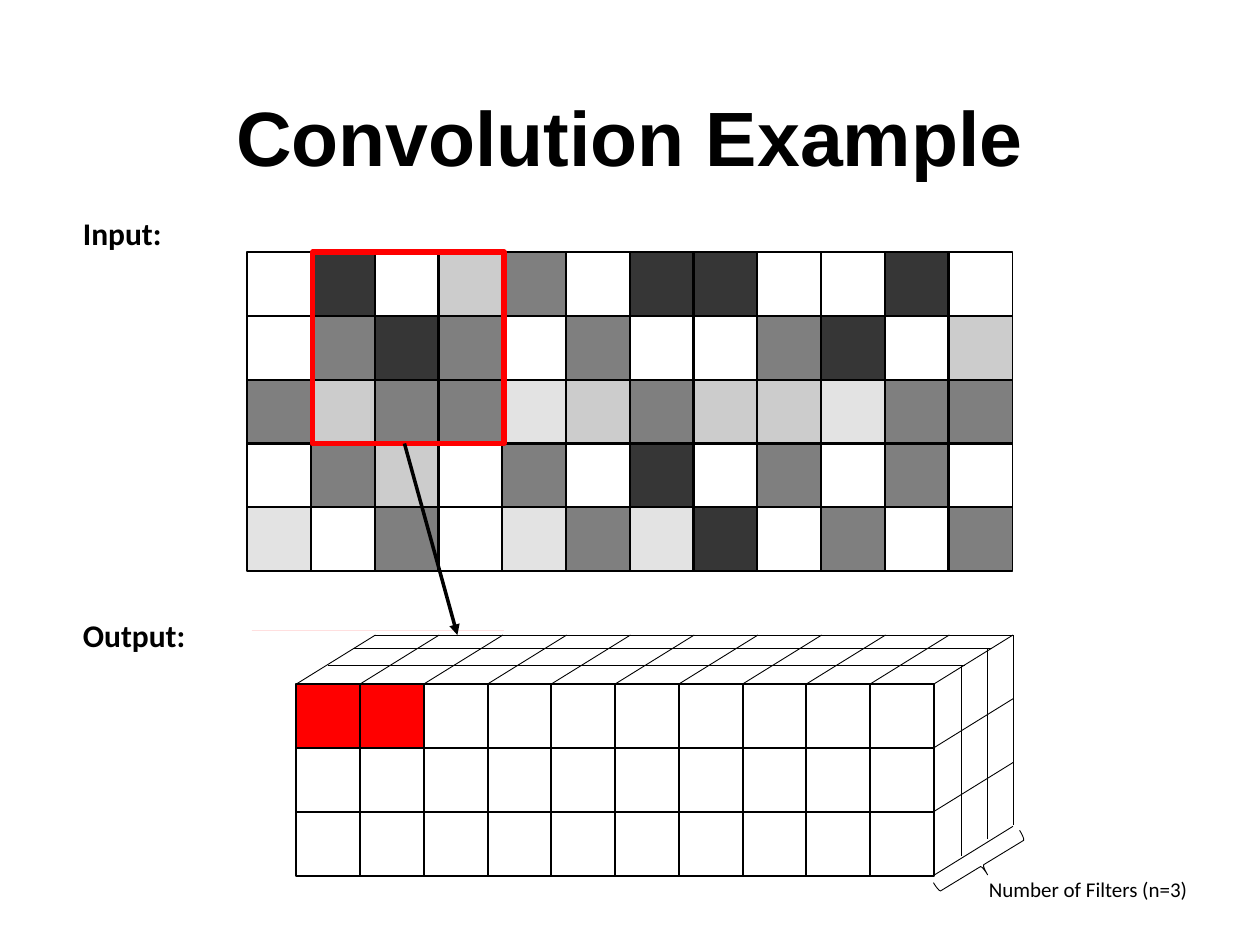
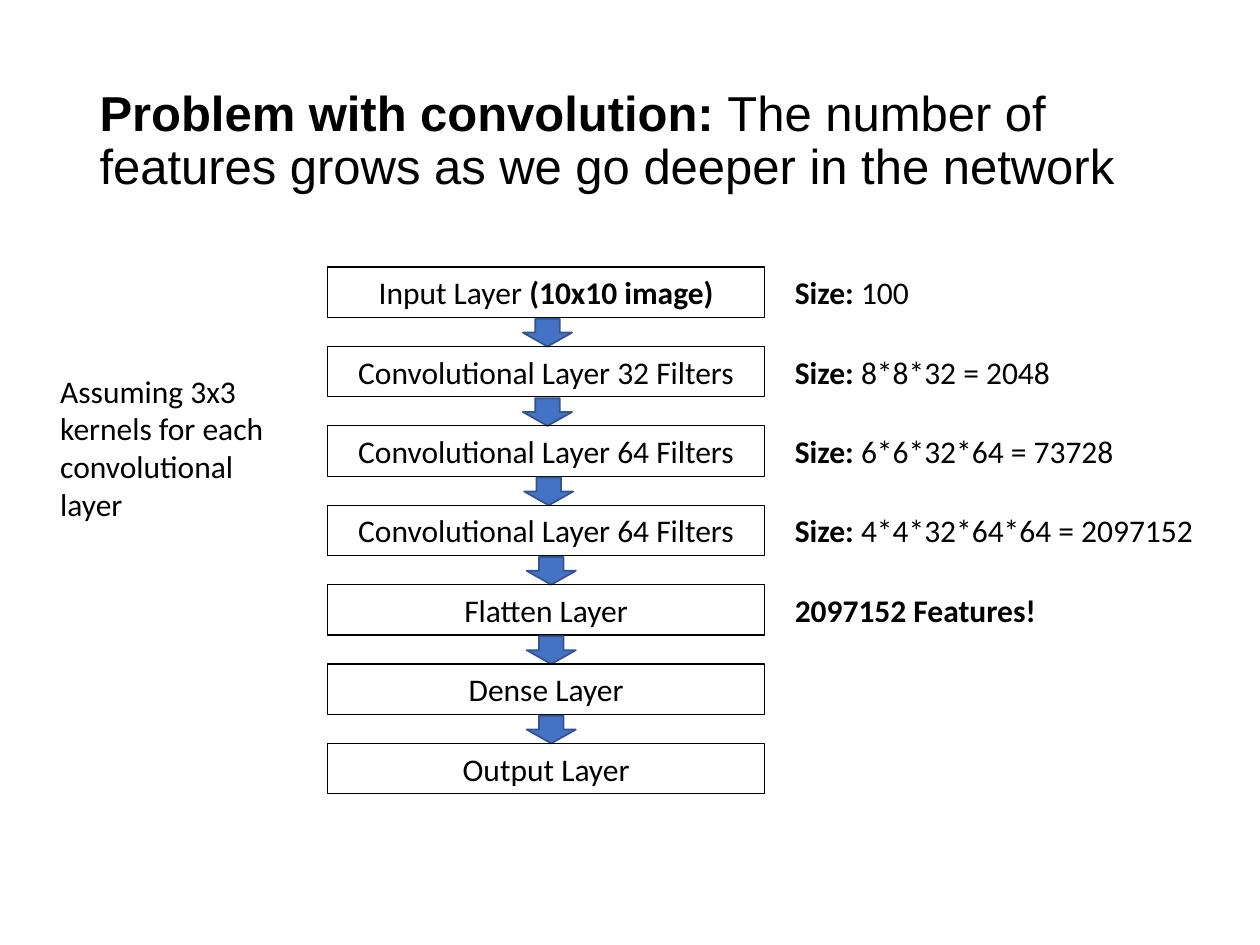
from typing import NamedTuple

from lxml.etree import SubElement
from pptx import Presentation
from pptx.dml.color import RGBColor
from pptx.enum.shapes import MSO_CONNECTOR, MSO_SHAPE
from pptx.enum.text import MSO_ANCHOR, MSO_AUTO_SIZE, PP_ALIGN
from pptx.oxml.ns import qn
from pptx.util import Inches, Pt

# Shared style
BLACK, RED, BLUE, DARK_BLUE = "000000", "FF0000", "4472C4", "325491"
TITLE_FONT, BODY_FONT = "Arial", "Calibri"


class Run(NamedTuple):
    text: str
    bold: bool = False


class Box(NamedTuple):
    left: float
    top: float
    width: float
    height: float


class Layer(NamedTuple):
    name: list[Run]
    size: list[Run]
    arrow_left: float | None = None  # arrow to the next layer


class DepthStep(NamedTuple):
    top_dx: float   # shift of the edge on the top face
    side_dx: float  # shift of the edge on the right face
    rise: float


def rgb(color: str) -> RGBColor:
    return RGBColor.from_string(color)


def write(tf, runs: list[Run], size: float, font: str = BODY_FONT, align=PP_ALIGN.LEFT):
    """Write one paragraph of runs that share font, size and colour."""
    tf.word_wrap = True
    p = tf.paragraphs[0]
    p.alignment = align
    p.font.size, p.font.name = Pt(size), font
    p.font.color.rgb = rgb(BLACK)
    for run in runs:
        r = p.add_run()
        r.text, r.font.bold = run.text, run.bold
    return p


def add_title_slide(prs, runs: list[Run], size: float, align=PP_ALIGN.LEFT):
    slide = prs.slides.add_slide(prs.slide_layouts[5])
    title = slide.shapes.title
    title.left, title.top, title.width, title.height = map(Inches, (0.69, 0.4, 8.62, 1.45))
    title.text_frame.vertical_anchor = MSO_ANCHOR.MIDDLE
    write(title.text_frame, runs, size, TITLE_FONT, align).line_spacing = 0.9
    return slide


def add_text(slide, box: Box, runs: list[Run], size: float = 18) -> None:
    tf = slide.shapes.add_textbox(*map(Inches, box)).text_frame
    write(tf, runs, size)
    tf.auto_size = MSO_AUTO_SIZE.SHAPE_TO_FIT_TEXT


def paint(s, fill: str | None = None, alpha: int = 100,
          line: str | None = BLACK, width: float = 1) -> None:
    s.shadow.inherit = False
    if fill:
        s.fill.solid()
        s.fill.fore_color.rgb = rgb(fill)
        if alpha < 100:
            color = s.fill._xPr.find(qn("a:solidFill")).find(qn("a:srgbClr"))
            SubElement(color, qn("a:alpha"), val=str(alpha * 1000))
    else:
        s.fill.background()
    if line:
        s.line.color.rgb = rgb(line)
        s.line.width = Pt(width)
    else:
        s.line.fill.background()


def add_shape(slide, kind, box: Box, **style):
    s = slide.shapes.add_shape(kind, *map(Inches, box))
    paint(s, **style)
    return s


def add_line(slide, x1: float, y1: float, x2: float, y2: float,
             width: float = 0.5, arrow: bool = False) -> None:
    c = slide.shapes.add_connector(MSO_CONNECTOR.STRAIGHT, *map(Inches, (x1, y1, x2, y2)))
    c.line.color.rgb = rgb(BLACK)
    c.line.width = Pt(width)
    if arrow:
        SubElement(c.line._get_or_add_ln(), qn("a:tailEnd"), type="triangle")
    SubElement(c._element.spPr, qn("a:effectLst"))


def add_polygon(slide, points: list[tuple[float, float]], fill: str) -> None:
    builder = slide.shapes.build_freeform(*points[0], scale=Inches(1))
    builder.add_line_segments(points[1:], close=True)
    paint(builder.convert_to_shape(), fill=fill, line=None)


prs = Presentation()
prs.slide_width, prs.slide_height = Inches(10), Inches(7.5)

# Slide 1: convolution example
slide = add_title_slide(prs, [Run("Convolution Example", True)], 44, PP_ALIGN.CENTER)

CELL, PITCH = 0.51, 0.506
GRID_LEFT, GRID_TOP = 1.96, 2.0
FRONT_LEFT, FRONT_TOP, FRONT_COLS, FRONT_ROWS = 2.35, 5.43, 10, 3
FRONT_RIGHT, FRONT_BOTTOM = 7.41, 6.94
DEPTH_X, DEPTH_Y = 0.63, 0.39
DEPTH_STEPS = [DepthStep(0.25, 0.22, 0.15), DepthStep(0.46, 0.43, 0.28),
               DepthStep(DEPTH_X, DEPTH_X, DEPTH_Y)]
RED_COLS = 2

# Input image: each letter is an opacity of black, a dot is an empty cell
SHADES = {"a": 11, "b": 20, "c": 50, "d": 79}
IMAGE_ROWS = [".d.bc.dd..d.",
              ".cdc.c..cd.b",
              "cbccabcbbacc",
              ".cb.c.d.c.c.",
              "a.c.acad.c.c"]
for row, cells in enumerate(IMAGE_ROWS):
    for col, cell in enumerate(cells):
        box = Box(GRID_LEFT + col * PITCH, GRID_TOP + row * PITCH, CELL, CELL)
        add_shape(slide, MSO_SHAPE.RECTANGLE, box,
                  fill=BLACK if cell in SHADES else None, alpha=SHADES.get(cell, 100))
add_shape(slide, MSO_SHAPE.RECTANGLE, Box(2.48, 2, 1.52, 1.52), line=RED, width=3)

# Highlighted top faces of the output block
for col in range(RED_COLS):
    x = FRONT_LEFT + col * PITCH
    add_polygon(slide, [(x + DEPTH_X, FRONT_TOP - DEPTH_Y),
                        (x + DEPTH_X + PITCH, FRONT_TOP - DEPTH_Y),
                        (x + PITCH, FRONT_TOP), (x, FRONT_TOP)], RED)

# Front face
for row in range(FRONT_ROWS):
    for col in range(FRONT_COLS):
        box = Box(FRONT_LEFT + col * PITCH, FRONT_TOP + row * PITCH, CELL, CELL)
        add_shape(slide, MSO_SHAPE.RECTANGLE, box,
                  fill=RED if row == 0 and col < RED_COLS else None)

# Receding edges of the top and right faces
corners = [(FRONT_LEFT + col * PITCH, FRONT_TOP) for col in range(FRONT_COLS + 1)]
corners += [(FRONT_RIGHT, FRONT_TOP + row * PITCH) for row in range(1, FRONT_ROWS + 1)]
for x, y in corners:
    add_line(slide, x, y, x + DEPTH_X, y - DEPTH_Y)

# Divisions between the filters
for step in DEPTH_STEPS:
    y = FRONT_TOP - step.rise
    add_line(slide, FRONT_LEFT + step.top_dx, y, FRONT_RIGHT + step.top_dx, y)
    x = FRONT_RIGHT + step.side_dx
    add_line(slide, x, y, x, FRONT_BOTTOM - step.rise)

# Labels, brace and arrow
for label, top in (("Input:", 1.65), ("Output:", 4.84)):
    add_text(slide, Box(0.56, top, 1.27, 0.4), [Run(label, True)])
brace = add_shape(slide, MSO_SHAPE.LEFT_BRACE, Box(7.71, 6.47, 0.17, 0.8), width=0.5)
brace.rotation = 238.7
add_text(slide, Box(7.75, 6.91, 1.89, 0.3), [Run("Number of Filters (n=3)")], 12)
add_line(slide, 3.21, 3.52, 3.63, 5.04, width=2, arrow=True)

# Slide 2: growth of the feature count
slide = add_title_slide(prs, [
    Run("Problem with convolution: ", True),
    Run("The number of features grows as we go deeper in the network")], 28)

SIZE = Run("Size: ", True)
LAYERS = [
    Layer([Run("Input Layer "), Run("(10x10 image)", True)], [SIZE, Run("100")], 4.15),
    Layer([Run("Convolutional Layer 32 Filters")], [SIZE, Run("8*8*32 = 2048")], 4.15),
    Layer([Run("Convolutional Layer 64 Filters")], [SIZE, Run("6*6*32*64 = 73728")], 4.16),
    Layer([Run("Convolutional Layer 64 Filters")],
          [SIZE, Run("4*4*32*64*64 = 2097152")], 4.18),
    Layer([Run("Flatten Layer")], [Run("2097152 Features!", True)], 4.18),
    Layer([Run("Dense Layer")], [], 4.18),
    Layer([Run("Output Layer")], []),
]
LAYER_TOP, LAYER_PITCH, LAYER_HEIGHT = 2.12, 0.63, 0.4
for i, layer in enumerate(LAYERS):
    top = LAYER_TOP + i * LAYER_PITCH
    s = add_shape(slide, MSO_SHAPE.RECTANGLE, Box(2.6, top, 3.47, LAYER_HEIGHT), width=0.75)
    write(s.text_frame, layer.name, 18, align=PP_ALIGN.CENTER)
    if layer.size:
        add_text(slide, Box(6.21, top, 3.53, LAYER_HEIGHT), layer.size)
    if layer.arrow_left:
        add_shape(slide, MSO_SHAPE.DOWN_ARROW, Box(layer.arrow_left, top + 0.41, 0.39, 0.22),
                  fill=BLUE, line=DARK_BLUE)

add_text(slide, Box(0.38, 2.9, 2.1, 1.31),
         [Run("Assuming 3x3 kernels for each convolutional layer")])

prs.save("out.pptx")
